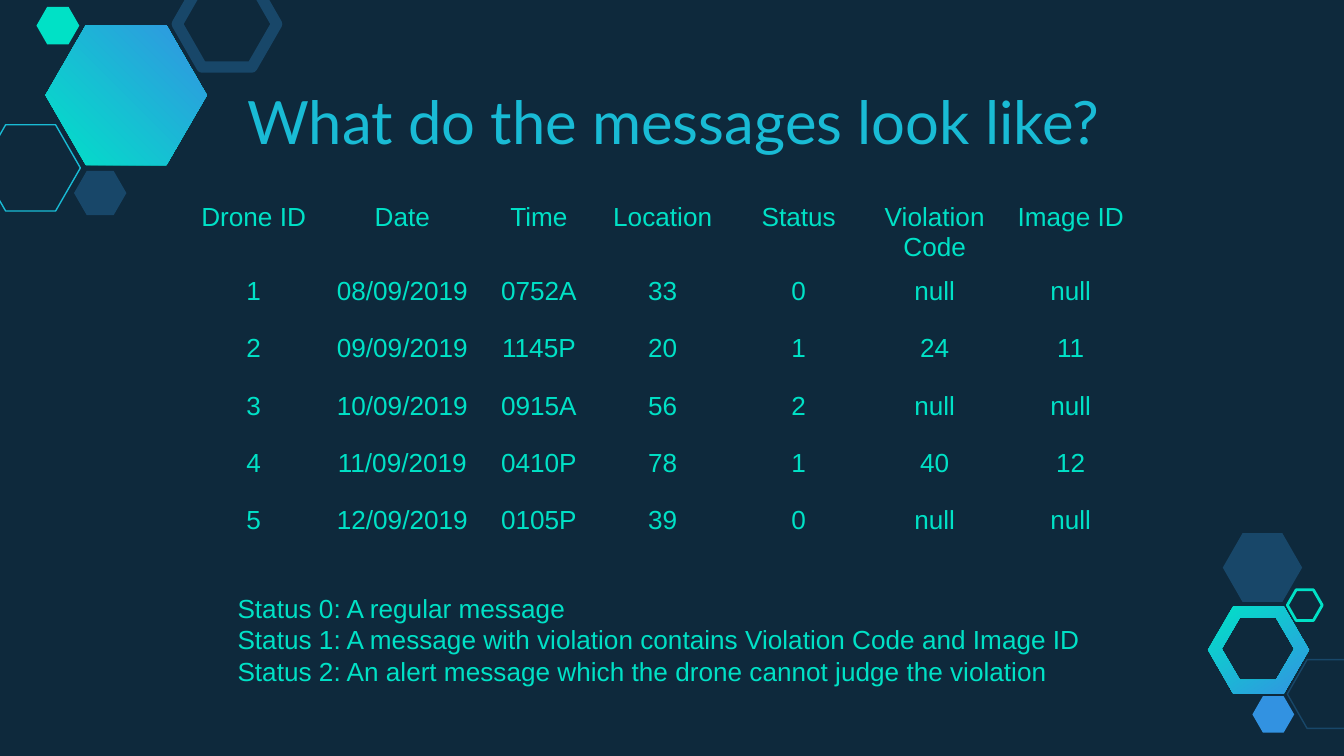
from pptx import Presentation
from pptx.dml.color import RGBColor
from pptx.enum.shapes import MSO_SHAPE
from pptx.enum.text import MSO_ANCHOR, PP_ALIGN
from pptx.util import Cm, Pt

COLORS = {"bg": "0E293C", "navy": "184769", "mint": "00E1C6", "cyan": "19BBD5",
          "sky": "3292E1", "grad_teal": "00E2C7", "grad_blue": "3393E2"}
TITLE = "What do the messages look like?"
ROWS = [
    ("Drone ID", "Date", "Time", "Location", "Status", "Violation Code", "Image ID"),
    ("1", "08/09/2019", "0752A", "33", "0", "null", "null"),
    ("2", "09/09/2019", "1145P", "20", "1", "24", "11"),
    ("3", "10/09/2019", "0915A", "56", "2", "null", "null"),
    ("4", "11/09/2019", "0410P", "78", "1", "40", "12"),
    ("5", "12/09/2019", "0105P", "39", "0", "null", "null"),
]
COL_WIDTHS = [2.57, 3.05, 2.11] + [2.57] * 4
ROW_HEIGHTS = [1.4] + [1.08] * 5
STATUSES = [
    "Status 0: A regular message",
    "Status 1: A message with violation contains Violation Code and Image ID",
    "Status 2: An alert message which the drone cannot judge the violation",
]
GRADIENT_HEXAGONS = [
    ([(22.83, 11.46, 1.91, 1.65), (23.09, 11.68, 1.37, 1.17)], 305),
    ([(0.86, 0.48, 3.05, 2.64)], 45),
]
HEXAGONS = [
    ((-0.36, 2.36, 1.88, 1.63), "cyan", 0.75),
    ((1.4, 3.23, 0.99, 0.84), "navy", None),
    ((3.35, -0.36, 1.88, 1.63), "navy", 6),
    ((0.69, 0.13, 0.81, 0.71), "mint", None),
    ((24.33, 12.47, 1.5, 1.3), "navy", 0.75),
    ((23.67, 13.16, 0.79, 0.69), "sky", None),
    ((23.11, 10.08, 1.5, 1.3), "navy", None),
    ((24.33, 11.15, 0.66, 0.58), "mint", 1.5),
]
NO_STYLE_NO_GRID = "{2D5ABB26-0587-4C30-8999-92F81FD0307C}"


def rgb(name):
    return RGBColor.from_string(COLORS[name])


def style(p, size, font, color, align=PP_ALIGN.LEFT):
    p.alignment = align
    p.font.size = Pt(size)
    p.font.name = font
    p.font.color.rgb = rgb(color)


def hexagon_points(x, y, w, h):
    points = [(0, 0.5), (0.25, 0), (0.75, 0), (1, 0.5), (0.75, 1), (0.25, 1)]
    return [(Cm(x + fx * w), Cm(y + fy * h)) for fx, fy in points]


def add_gradient_hexagon(s, boxes, angle):
    outer, *holes = [hexagon_points(*box) for box in boxes]
    builder = s.shapes.build_freeform(*outer[0])
    builder.add_line_segments(outer[1:], close=True)
    for hole in holes:
        hole.reverse()
        builder.move_to(*hole[0])
        builder.add_line_segments(hole[1:], close=True)
    sp = builder.convert_to_shape()
    sp.shadow.inherit = False
    sp.line.fill.background()
    sp.fill.gradient()
    sp.fill.gradient_angle = angle
    for stop, color in zip(sp.fill.gradient_stops, ("grad_teal", "grad_blue")):
        stop.color.rgb = rgb(color)


def add_hexagon(s, box, color, line_width):
    sp = s.shapes.add_shape(MSO_SHAPE.HEXAGON, *map(Cm, box))
    sp.adjustments[0] = 0.287
    sp.shadow.inherit = False
    if line_width:
        sp.fill.background()
        sp.line.color.rgb = rgb(color)
        sp.line.width = Pt(line_width)
    else:
        sp.fill.solid()
        sp.fill.fore_color.rgb = rgb(color)
        sp.line.fill.background()


def add_title(s):
    title = s.shapes.title
    title.left, title.top, title.width, title.height = map(Cm, (4.42, 1.07, 17.37, 2.13))
    tf = title.text_frame
    tf.text = TITLE
    tf.vertical_anchor = MSO_ANCHOR.BOTTOM
    tf.margin_left = tf.margin_right = tf.margin_top = tf.margin_bottom = Cm(0.25)
    style(tf.paragraphs[0], 32, "Lato", "cyan")


def add_messages(s):
    table = s.shapes.add_table(len(ROWS), len(COL_WIDTHS), Cm(3.51), Cm(3.71),
                               Cm(sum(COL_WIDTHS)), Cm(sum(ROW_HEIGHTS))).table
    table._tbl.tblPr[0].text = NO_STYLE_NO_GRID
    table.first_row = table.horz_banding = False
    for column, width in zip(table.columns, COL_WIDTHS):
        column.width = Cm(width)
    for row, height, values in zip(table.rows, ROW_HEIGHTS, ROWS):
        row.height = Cm(height)
        for cell, value in zip(row.cells, values):
            cell.text = value
            cell.fill.background()
            style(cell.text_frame.paragraphs[0], 14, "Arial", "mint", PP_ALIGN.CENTER)


def add_statuses(s):
    tf = s.shapes.add_textbox(Cm(4.24), Cm(11.07), Cm(17.58), Cm(2.06)).text_frame
    tf.word_wrap = True
    tf.text = "\n".join(STATUSES)
    for p in tf.paragraphs:
        style(p, 14, "Arial", "mint")


def main():
    """Build the drone message format slide."""
    prs = Presentation()
    prs.slide_width, prs.slide_height = Cm(25.4), Cm(14.29)
    s = prs.slides.add_slide(prs.slide_layouts[5])
    s.background.fill.solid()
    s.background.fill.fore_color.rgb = rgb("bg")
    for boxes, angle in GRADIENT_HEXAGONS:
        add_gradient_hexagon(s, boxes, angle)
    for hexagon in HEXAGONS:
        add_hexagon(s, *hexagon)
    add_title(s)
    add_messages(s)
    add_statuses(s)
    prs.save("out.pptx")


if __name__ == "__main__":
    main()
